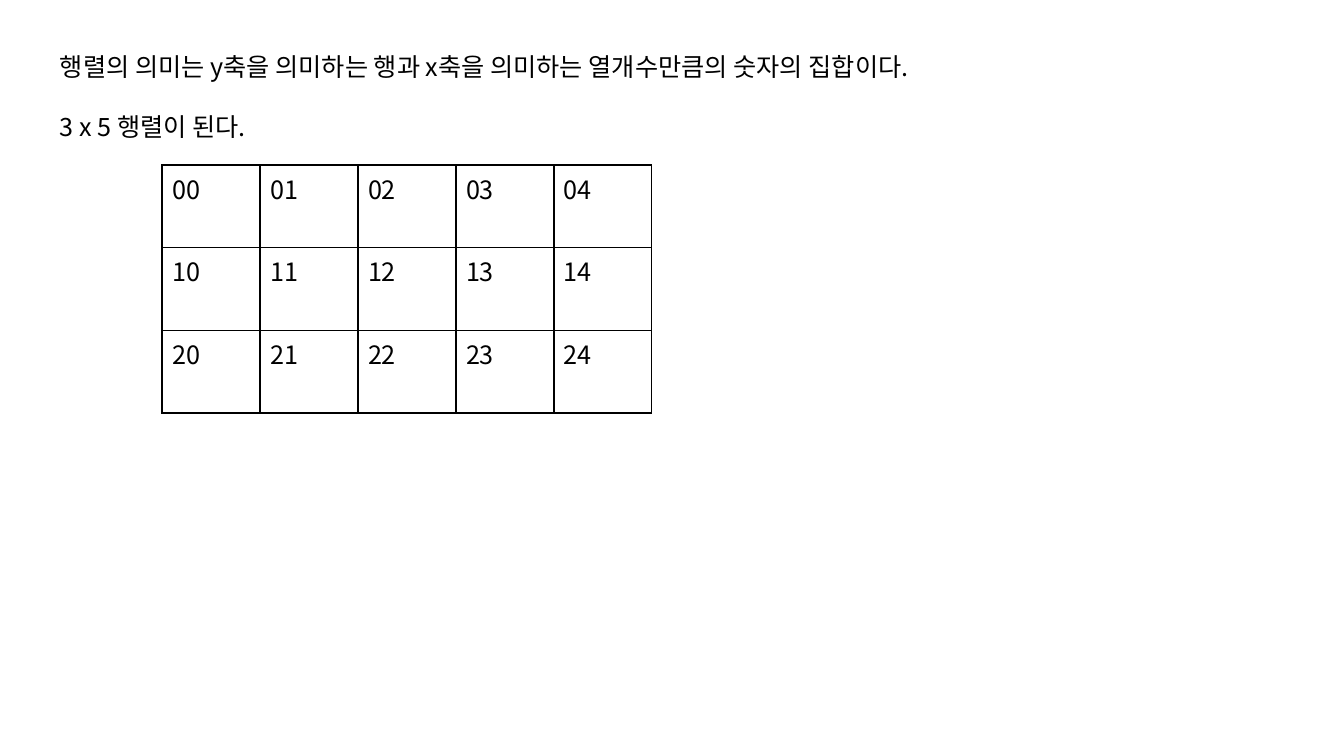
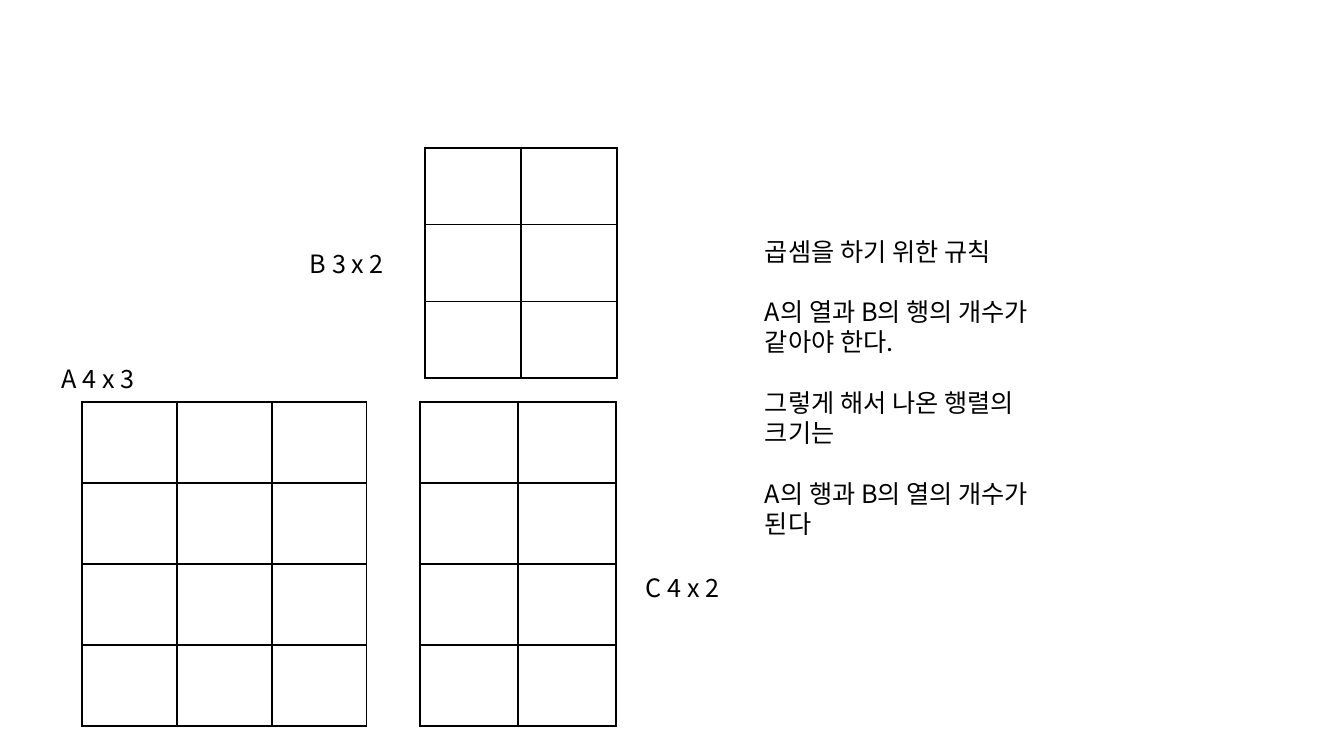
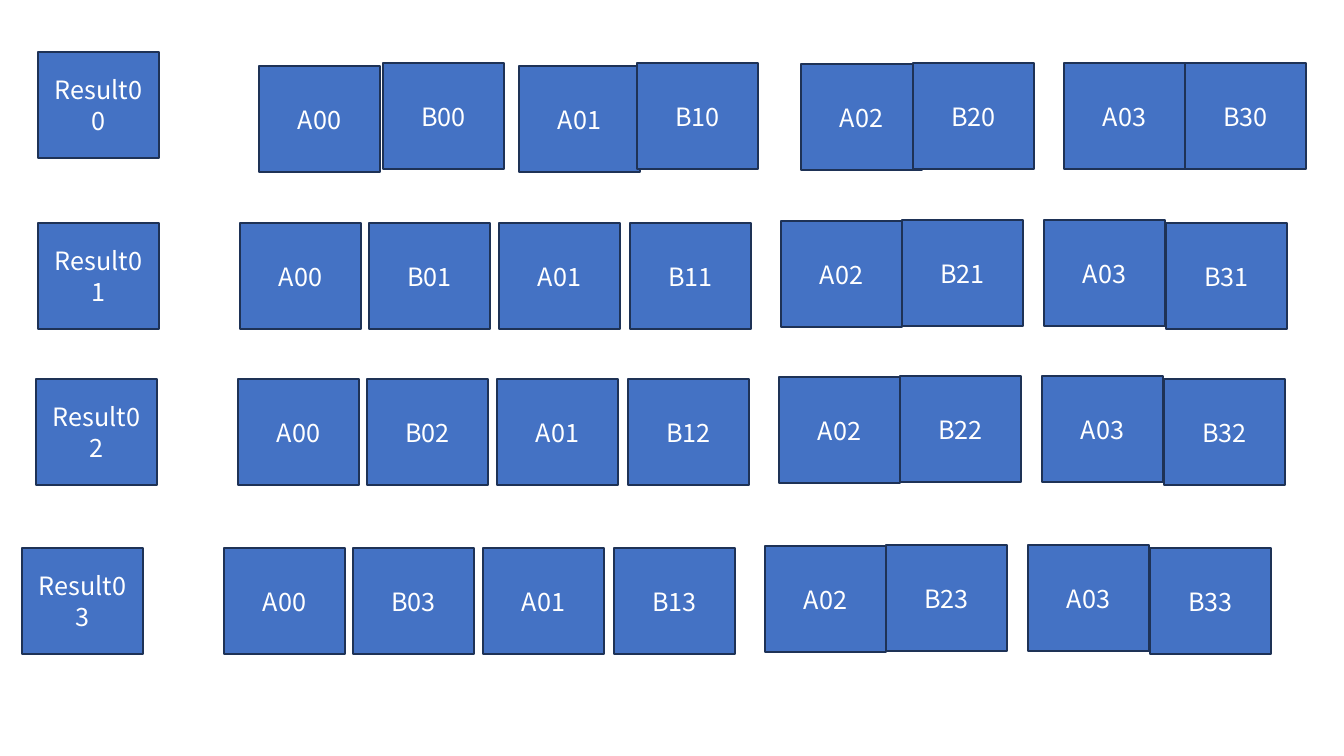
from itertools import product
from lxml.etree import SubElement
from pptx import Presentation
from pptx.dml.color import RGBColor as Rgb
from pptx.enum.shapes import MSO_SHAPE as Kind
from pptx.enum.text import MSO_ANCHOR as Anchor, PP_ALIGN as Align
from pptx.oxml.ns import qn
from pptx.util import Pt

SCALE = 914400 / 100.8
FONT = "Noto Sans CJK KR"
SIZE = 18
LINE = 21.6
INK = {"text": "000000", "grid": "000000", "block": "4472C4",
       "edge": "1E3256", "label": "FFFFFF"}


def px(num):
    return round(num * SCALE)


def tint(name):
    return Rgb.from_string(INK[name])


def write(frame, text, color="text", align=Align.LEFT, anchor=Anchor.TOP,
          line=LINE, gap=0):
    frame.word_wrap = True
    frame.vertical_anchor = anchor
    frame.text = text
    for spot, para in enumerate(frame.paragraphs):
        para.alignment = align
        if line:
            para.line_spacing = Pt(line)
        if spot:
            para.space_before = Pt(gap)
        for run in para.runs:
            font = run.font
            font.name, font.size = FONT, Pt(SIZE)
            font.color.rgb = tint(color)
            SubElement(font._element, qn("a:ea"), typeface=FONT)


def note(slide, box, text, **form):
    area = slide.shapes.add_textbox(*map(px, box))
    write(area.text_frame, text, **form)


def border(cell):
    props = cell._tc.get_or_add_tcPr()
    for spot, side in enumerate(("lnL", "lnR", "lnT", "lnB")):
        edge = props.makeelement(qn("a:" + side), {"w": str(Pt(1))})
        fill = SubElement(edge, qn("a:solidFill"))
        SubElement(fill, qn("a:srgbClr"), val=INK["grid"])
        props.insert(spot, edge)


def matrix(slide, left, top, rows, cols, wide, high, filled=False):
    box = map(px, (left, top, cols * wide, rows * high))
    table = slide.shapes.add_table(rows, cols, *box).table
    table.first_row = table.horz_banding = False
    for col in table.columns:
        col.width = px(wide)
    for row in table.rows:
        row.height = px(high)
    for row, col in product(range(rows), range(cols)):
        cell = table.cell(row, col)
        cell.fill.background()
        border(cell)
        if filled:
            write(cell.text_frame, f"{row}{col}", line=None)


def block(slide, left, top, text):
    shape = slide.shapes.add_shape(Kind.RECTANGLE, *map(px, (left, top, 121, 106)))
    shape.shadow.inherit = False
    shape.fill.solid()
    shape.fill.fore_color.rgb = tint("block")
    shape.line.color.rgb = tint("edge")
    shape.line.width = Pt(1)
    write(shape.text_frame, text, color="label", align=Align.CENTER,
          anchor=Anchor.MIDDLE)


def product_row(slide, left, top, col, steps):
    block(slide, left, top, f"Result0{col}")
    pairs = list(enumerate(zip(steps[::2], steps[1::2])))
    for term, (step, _) in pairs:
        block(slide, left + step[0], top + step[1], f"A0{term}")
    for term, (_, step) in pairs:
        block(slide, left + step[0], top + step[1], f"B{term}{col}")


def meaning(slide):
    note(slide, (50, 46, 972, 437),
         "행렬의 의미는 y축을 의미하는 행과 x축을 의미하는 열개수만큼의 숫자의 집합이다.\n"
         "3 x 5 행렬이 된다.", gap=LINE)
    matrix(slide, 162, 165, 3, 5, 98, 82.7, filled=True)


def rules(slide):
    matrix(slide, 82, 402, 4, 3, 95, 81)
    matrix(slide, 425, 148, 3, 2, 96, 76.7)
    matrix(slide, 420, 402, 4, 2, 98, 81)
    note(slide, (755, 231, 326, 316),
         "곱셈을 하기 위한 규칙\n"
         "A의 열과 B의 행의 개수가\v같아야 한다.\n"
         "그렇게 해서 나온 행렬의\v크기는\n"
         "A의 행과 B의 열의 개수가\v된다", gap=LINE)
    for left, top, text in ((52, 358, "A 4 x 3"), (300, 243, "B 3 x 2"),
                            (636, 567, "C 4 x 2")):
        note(slide, (left, top, 672, 40), text)


def results(slide):
    first = ((221, 14), (345, 11), (481, 14), (599, 11),
             (763, 12), (875, 11), (1026, 11), (1147, 11))
    rest = ((202, 0), (331, 0), (461, 0), (592, 0),
            (743, -2), (864, -3), (1006, -3), (1128, 0))
    for col, (left, top) in enumerate(((38, 52), (38, 223), (36, 379), (22, 548))):
        product_row(slide, left, top, col, rest if col else first)


deck = Presentation()
deck.slide_width, deck.slide_height = px(1344), px(756)
for build in (meaning, rules, results):
    build(deck.slides.add_slide(deck.slide_layouts[6]))
deck.save("out.pptx")
